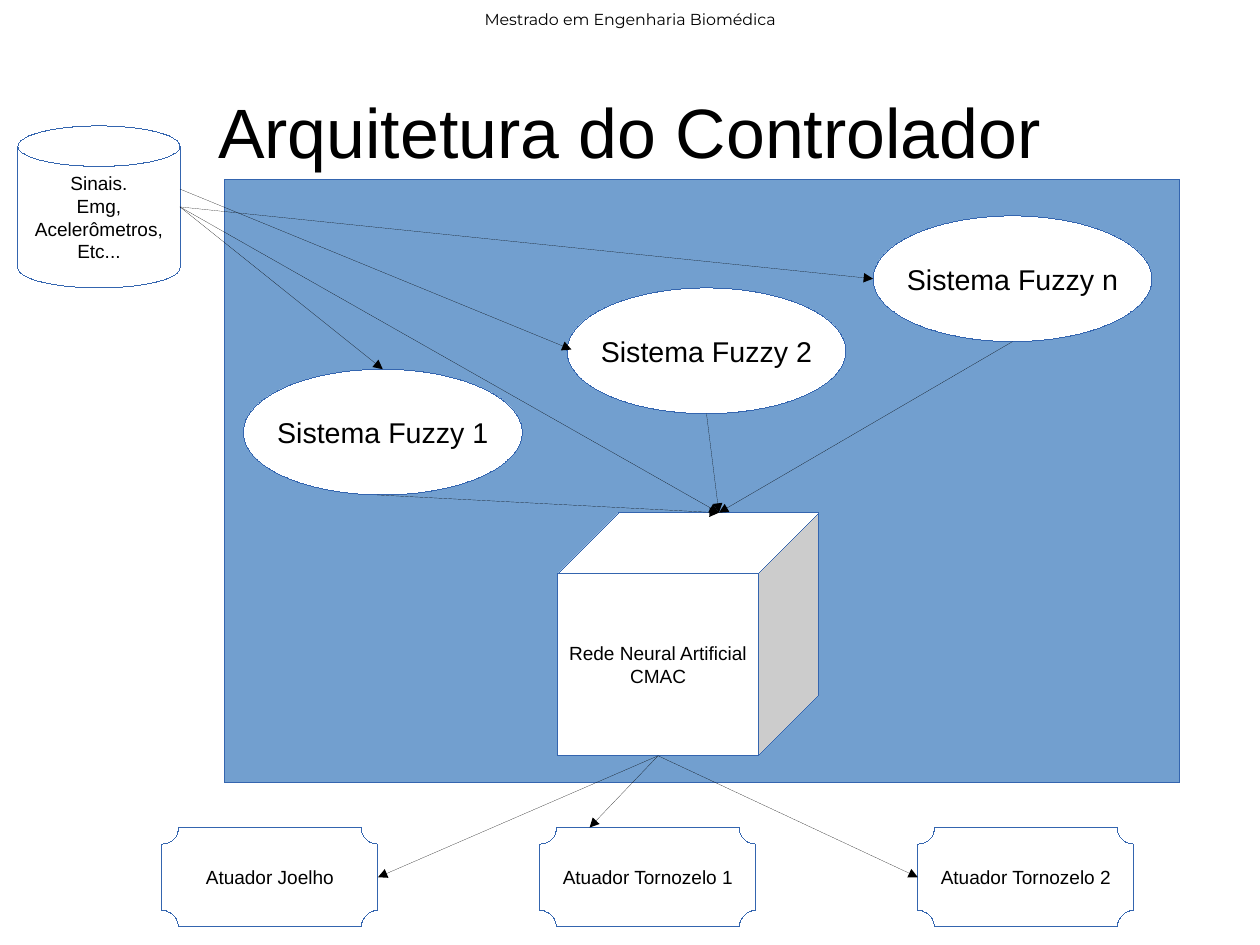
from dataclasses import dataclass

from lxml import etree
from pptx import Presentation
from pptx import util as u
from pptx.dml import color
from pptx.enum import shapes, text
from pptx.oxml import ns

COLOURS = {"ink": "000000", "paper": "FFFFFF", "panel": "729FCF", "outline": "3465AF"}
KIND = shapes.MSO_SHAPE
HAIRLINE = u.Pt(0.01)


@dataclass
class Box:
    """A rectangle in points."""
    left: float
    top: float
    width: float
    height: float

    def inner(self, left, top, width, height):
        """Return a box offset from this one's corner."""
        return Box(self.left + left, self.top + top, width, height)

    def point(self, across, down):
        """Return the point at the given fractions of the box."""
        return self.left + across * self.width, self.top + down * self.height

    def lengths(self):
        """Return the four lengths for python-pptx."""
        return [u.Pt(value) for value in (self.left, self.top, self.width, self.height)]


def colour(name):
    """Look up a colour by name."""
    return color.RGBColor.from_string(COLOURS[name])


def write(frame, lines, size=12, font="Arial", wrap=False, margins=(7.2, 3.6)):
    """Fill a text frame with centred lines in one format."""
    frame.word_wrap = wrap
    frame.vertical_anchor = text.MSO_ANCHOR.MIDDLE
    frame.margin_left = frame.margin_right = u.Pt(margins[0])
    frame.margin_top = frame.margin_bottom = u.Pt(margins[1])
    for index, line in enumerate(lines):
        para = frame.add_paragraph() if index else frame.paragraphs[0]
        para.alignment = text.PP_ALIGN.CENTER
        span = para.add_run()
        span.text = line
        span.font.name = font
        span.font.size = u.Pt(size)
        span.font.color.rgb = colour("ink")


def draw_shape(page, kind, box, lines=(), fill="paper", size=12):
    """Draw an outlined shape with its label and return its box."""
    shape = page.shapes.add_shape(kind, *box.lengths())
    shape.shadow.inherit = False
    shape.fill.solid()
    shape.fill.fore_color.rgb = colour(fill)
    shape.line.color.rgb = colour("outline")
    shape.line.width = HAIRLINE
    if lines:
        write(shape.text_frame, lines, size=size)
    return box


def draw_arrow(page, start, end):
    """Draw a hairline arrow between two points."""
    arrow = page.shapes.add_connector(
        shapes.MSO_CONNECTOR.STRAIGHT, *[u.Pt(value) for value in (*start, *end)])
    arrow.line.color.rgb = colour("ink")
    arrow.line.width = HAIRLINE
    outline = arrow._element.spPr.find(ns.qn("a:ln"))
    etree.SubElement(outline, ns.qn("a:tailEnd"), type="triangle")
    etree.SubElement(arrow._element.spPr, ns.qn("a:effectLst"))


def draw_heading(page, box):
    """Write the course line and the slide title."""
    course = page.shapes.add_textbox(*box.inner(0, 1.4, box.width, 21.6).lengths())
    write(course.text_frame, ["Mestrado em Engenharia Biomédica"],
          size=10, font="Montserrat", wrap=True)
    title = page.shapes.title
    title.left, title.top, title.width, title.height = box.inner(
        0, 45.4, box.width, 73.4).lengths()
    write(title.text_frame, ["Arquitetura do Controlador"],
          size=44, wrap=True, margins=(0, 0))


def draw_controller(page, box):
    """Draw the controller panel and return its fuzzy and network boxes."""
    draw_shape(page, KIND.RECTANGLE, box, fill="panel")
    places = {"1": (11.6, 119.4), "2": (215.5, 68.2), "n": (408.3, 22.8)}
    fuzzy = [draw_shape(page, KIND.OVAL, box.inner(*place, 175.7, 79.2),
                        [f"Sistema Fuzzy {name}"], size=18)
             for name, place in places.items()]
    network = draw_shape(page, KIND.CUBE, box.inner(209.8, 209.8, 164.4, 153.1),
                         ["Rede Neural Artificial", "CMAC"])
    return fuzzy, network


def draw_actuators(page, box):
    """Draw the row of actuators and return their boxes."""
    width = 136.1
    step = (box.width - width) / 2
    names = ["Joelho", "Tornozelo 1", "Tornozelo 2"]
    return [draw_shape(page, KIND.PLAQUE, box.inner(index * step, 0, width, box.height),
                       [f"Atuador {name}"])
            for index, name in enumerate(names)]


def draw_flows(page, signals, fuzzy, network, actuators):
    """Link signals, fuzzy systems, network and actuators."""
    depth = network.height / 4
    half_front = (network.width - depth) / 2
    network_in = network.left + depth + half_front, network.top
    network_out = network.left + half_front, network.top + network.height
    source = signals.point(1, 0.5)
    first, second, last = fuzzy
    flows = [
        (source, network_in),
        (signals.point(1, 0.39), second.point(0.016, 0.49)),
        (source, last.point(0, 0.5)),
        (first.point(0.48, 1), network_in),
        (second.point(0.5, 1), network_in),
        (last.point(0.5, 1), network_in),
        (source, first.point(0.5, 0)),
    ]
    entries = [(1, 0.5), (0.23, 0), (0, 0.5)]
    flows += [(network_out, actuator.point(*entry))
              for actuator, entry in zip(actuators, entries)]
    for start, end in flows:
        draw_arrow(page, start, end)


def main():
    """Build and save the slide."""
    deck = Presentation()
    whole = Box(0, 0, 793.7, 595.28)
    deck.slide_width, deck.slide_height = u.Pt(whole.width), u.Pt(whole.height)
    page = deck.slides.add_slide(deck.slide_layouts[5])
    draw_heading(page, whole)
    fuzzy, network = draw_controller(page, whole.inner(141.7, 113.2, 601.2, 380))
    signals = draw_shape(page, KIND.CAN, whole.inner(11.3, 79.3, 102.1, 102.1),
                         ["Sinais.", "Emg,", "Acelerômetros,", "Etc..."])
    actuators = draw_actuators(page, whole.inner(102, 521.3, 612.3, 62.6))
    draw_flows(page, signals, fuzzy, network, actuators)
    deck.save("out.pptx")


if __name__ == "__main__":
    main()
